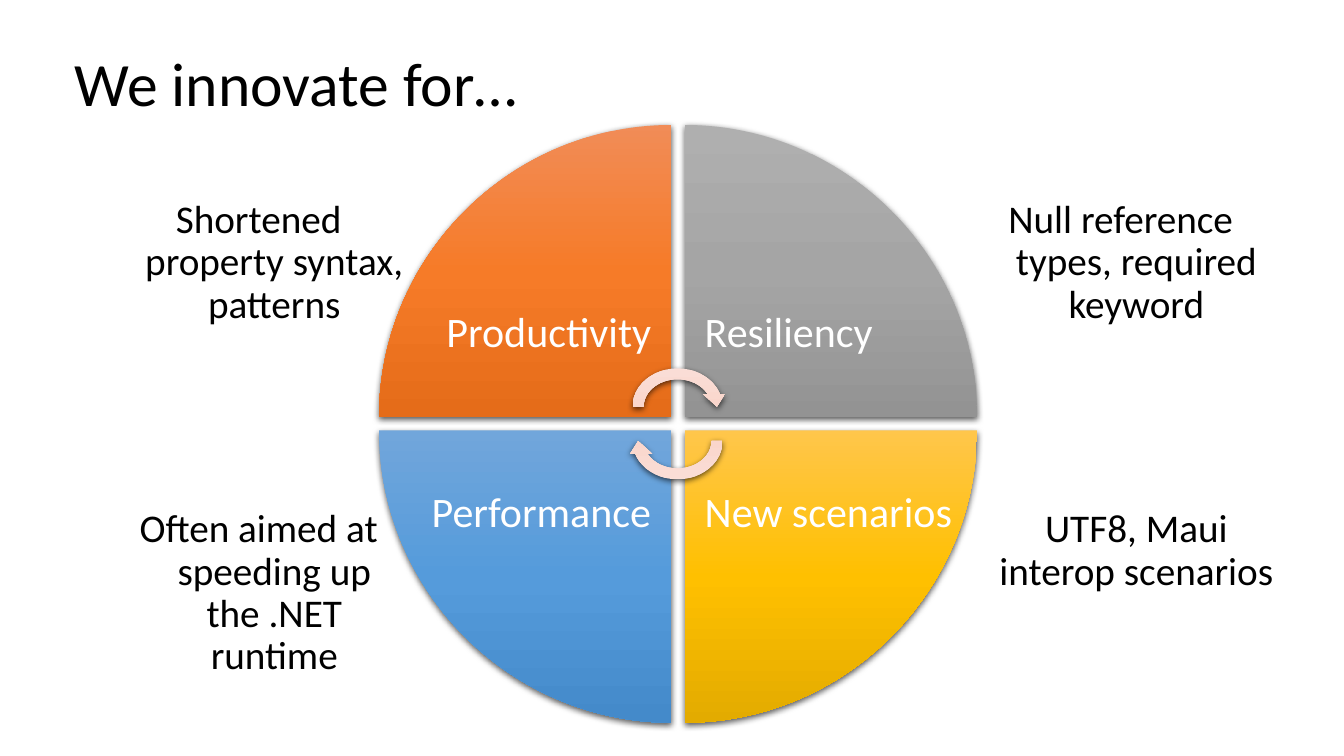
from lxml import etree
from pptx import Presentation
from pptx.dml.color import RGBColor
from pptx.enum.shapes import MSO_SHAPE
from pptx.enum.text import MSO_ANCHOR, PP_ALIGN
from pptx.oxml.ns import qn
from pptx.util import Inches, Pt

LEFT, CENTER, RIGHT = PP_ALIGN.LEFT, PP_ALIGN.CENTER, PP_ALIGN.RIGHT
TOP, MIDDLE, BOTTOM = MSO_ANCHOR.TOP, MSO_ANCHOR.MIDDLE, MSO_ANCHOR.BOTTOM
CIRCULAR_ARROW = MSO_SHAPE.CIRCULAR_ARROW

# Content
FONT = "Calibri"
TITLE = "We innovate for…"
COLORS = {"title": "000000", "note": "000000", "panel": "FFFFFF",
          "label": "FFFFFF", "shadow": "000000"}
GRADIENTS = {
    "orange": ("F18C57", "F67B28", "E56C19"),
    "gray": ("AFAFAF", "A5A5A5", "939393"),
    "gold": ("FFC64B", "FFC000", "E3AB00"),
    "blue": ("71A6DB", "559BDB", "448ACA"),
    "arrow": ("FADFD8", "FAD6CC", "E2BCB1"),
}
# label, column, row, gradient, note, note box, first-line indent of the note
QUADRANTS = [
    ("Productivity", 0, 0, "orange", "Shortened property syntax, patterns",
     (0.83, 1.78, 3.47, 1.57), -0.31),
    ("Resiliency", 1, 0, "gray", "Null reference types, required keyword",
     (9.29, 1.78, 3.65, 1.74), -0.31),
    ("New scenarios", 1, 1, "gold", "UTF8, Maui interop scenarios",
     (9.29, 4.85, 3.65, 1.74), 0),
    ("Performance", 0, 1, "blue", "Often aimed at speeding up the .NET runtime",
     (0.87, 4.85, 3.39, 1.74), -0.31),
]
# top, rotation
CYCLE_ARROWS = [(3.6, 0), (3.94, 180)]

# Geometry
WHEEL_LEFT, WHEEL_TOP = 3.76, 1.24
RADIUS, GAP = 2.9, 0.13
PANEL_ROUND_X, PANEL_ROUND_Y = 0.09, 0.17
QUARTER_ARC = 0.55  # how far the handles of a quarter arc reach to its corner

prs = Presentation()
prs.slide_width, prs.slide_height = Inches(13.33), Inches(7.5)
slide = prs.slides.add_slide(prs.slide_layouts[6])


def write(shape, text, size, color, align, anchor, insets):
    """Put one paragraph in a shape; insets are left, top, right, bottom."""
    frame = shape.text_frame
    frame.word_wrap = True
    frame.vertical_anchor = anchor
    (frame.margin_left, frame.margin_top,
     frame.margin_right, frame.margin_bottom) = [Inches(i) for i in insets]
    paragraph = frame.paragraphs[0]
    paragraph.alignment = align
    paragraph.line_spacing = 0.9
    run = paragraph.add_run()
    run.text = text
    run.font.name, run.font.size = FONT, Pt(size)
    run.font.color.rgb = RGBColor.from_string(color)
    return paragraph


def add_color(parent, color):
    return etree.SubElement(parent, qn("a:srgbClr"), val=color)


def style(shape, gradient):
    """Top-down three-stop gradient, no outline, soft shadow below."""
    shape.fill.gradient()
    shape.fill.gradient_angle = 270
    shape.line.fill.background()
    shape.shadow.inherit = False
    properties = shape.element.spPr
    stops = properties.find(qn("a:gradFill")).find(qn("a:gsLst"))
    for stop in list(stops):
        stops.remove(stop)
    for index, color in enumerate(GRADIENTS[gradient]):
        add_color(etree.SubElement(stops, qn("a:gs"), pos=str(index * 50000)), color)
    shadow = etree.SubElement(
        properties.find(qn("a:effectLst")), qn("a:outerShdw"),
        blurRad=str(Pt(4.5)), dist=str(Pt(1.5)), dir="5400000", rotWithShape="0")
    etree.SubElement(add_color(shadow, COLORS["shadow"]), qn("a:alpha"), val="63000")


def draw_outline(points, corners):
    """Closed outline; the side to points[i] is a quarter arc toward corners[i]."""
    outline = slide.shapes.build_freeform(*map(Inches, points[0]))
    outline.add_line_segments([tuple(map(Inches, p)) for p in points[1:]], close=True)
    shape = outline.convert_to_shape()
    sides = list(shape.element.iter(qn("a:lnTo")))
    for index, corner in corners.items():
        side = sides[index - 1]
        start, end = points[index - 1], points[index]
        handles = [[p + QUARTER_ARC * (c - p) for p, c in zip(point, corner)]
                   for point in (start, end)]
        curve = etree.Element(qn("a:cubicBezTo"))
        for x, y in (*handles, end):
            etree.SubElement(curve, qn("a:pt"), x=str(Inches(x) - shape.left),
                             y=str(Inches(y) - shape.top))
        side.getparent().replace(side, curve)
    return shape


# Title
title = slide.shapes.add_textbox(*map(Inches, (0.64, 0.13, 11.5, 1.45)))
write(title, TITLE, 44, COLORS["title"], LEFT, MIDDLE, (0.1, 0.05, 0.1, 0.05))

# Notes on rounded panels beside the wheel
for _, _, _, _, note_text, (x, y, width, height), indent in reversed(QUADRANTS):
    right, bottom = x + width, y + height
    x1, x2 = x + PANEL_ROUND_X, right - PANEL_ROUND_X
    y1, y2 = y + PANEL_ROUND_Y, bottom - PANEL_ROUND_Y
    panel = draw_outline(
        [(x, y1), (x1, y), (x2, y), (right, y1),
         (right, y2), (x2, bottom), (x1, bottom), (x, y2)],
        {1: (x, y), 3: (right, y), 5: (right, bottom), 7: (x, bottom)})
    panel.fill.solid()
    panel.fill.fore_color.rgb = RGBColor.from_string(COLORS["panel"])
    panel_color = panel.element.spPr.find(qn("a:solidFill")).find(qn("a:srgbClr"))
    etree.SubElement(panel_color, qn("a:alpha"), val="90000")
    panel.line.fill.background()
    panel.shadow.inherit = False
    paragraph = write(panel, note_text, 28, COLORS["note"], CENTER, TOP, [0.2] * 4)
    indents = paragraph._p.get_or_add_pPr()
    indents.set("marL", str(Inches(0.31)))
    indents.set("indent", str(Inches(indent)))

# Quarter wedges, each built on its inner corner
for label, col, row, gradient, _, _, _ in QUADRANTS:
    inner_x = WHEEL_LEFT + RADIUS + col * GAP
    inner_y = WHEEL_TOP + RADIUS + row * GAP
    outer_x = inner_x + (2 * col - 1) * RADIUS
    outer_y = inner_y + (2 * row - 1) * RADIUS
    wedge = draw_outline(
        [(outer_x, inner_y), (inner_x, outer_y), (inner_x, inner_y)],
        {1: (outer_x, outer_y)})
    style(wedge, gradient)
    insets = (0.2 if col else 0, 0.6 if row else 0.85,
              0 if col else 0.2, 0.85 if row else 0.6)
    write(wedge, label, 30, COLORS["label"], LEFT if col else RIGHT,
          TOP if row else BOTTOM, insets)

# Cycle arrows at the hub
for top, rotation in CYCLE_ARROWS:
    arrow = slide.shapes.add_shape(
        CIRCULAR_ARROW, *map(Inches, (6.22, top, 1, 0.87)))
    arrow.rotation = rotation
    style(arrow, "arrow")

prs.save("out.pptx")
